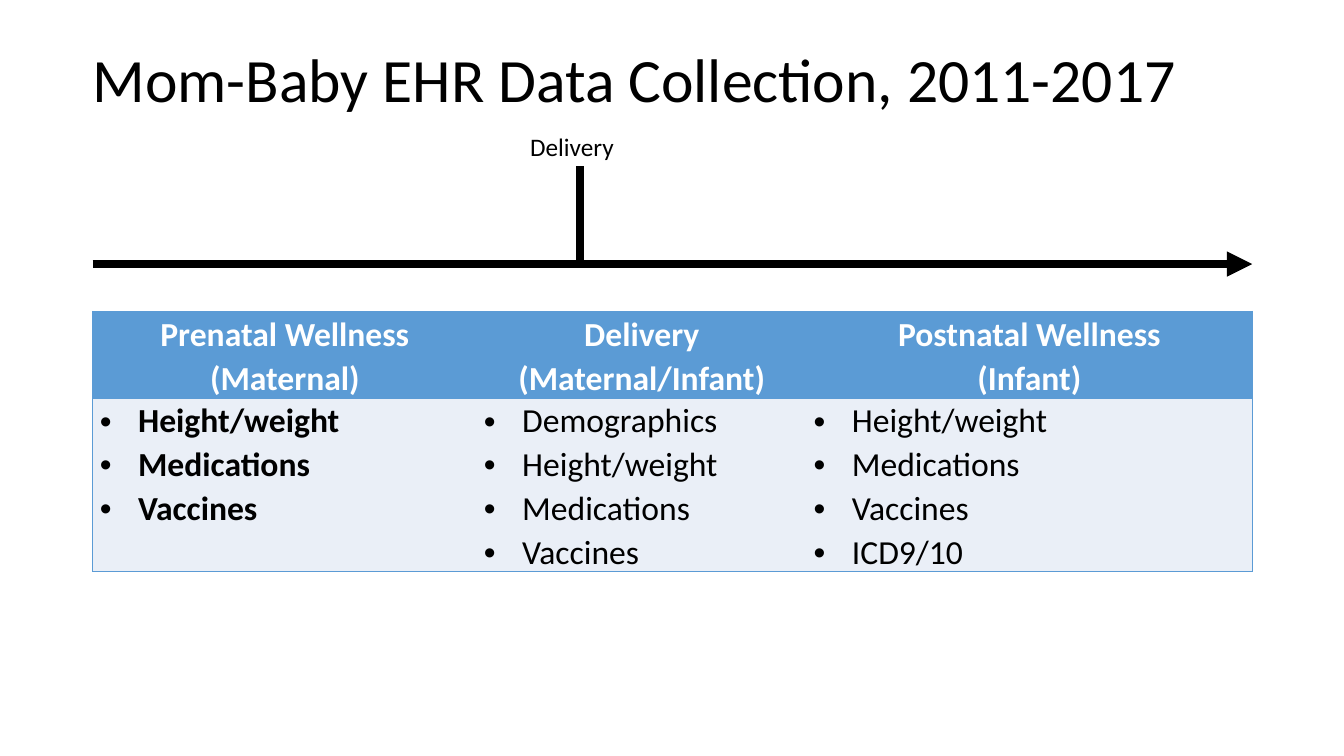
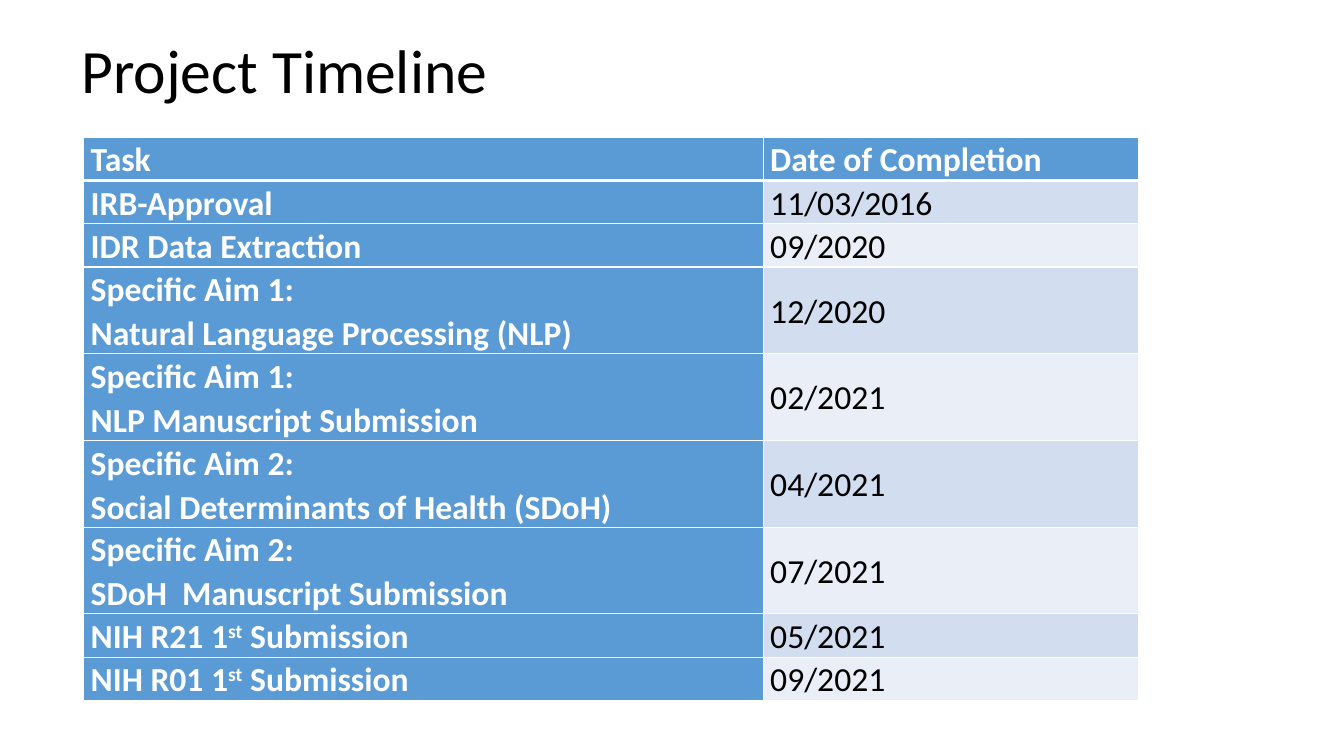
from dataclasses import dataclass

from lxml import etree
from pptx import Presentation
from pptx.dml.color import RGBColor
from pptx.enum.shapes import MSO_CONNECTOR
from pptx.enum.text import MSO_ANCHOR, PP_ALIGN
from pptx.oxml.ns import qn
from pptx.slide import Slide
from pptx.table import _Cell
from pptx.text.text import _Paragraph
from pptx.util import Inches, Pt

STRAIGHT = MSO_CONNECTOR.STRAIGHT
TOP, MIDDLE = MSO_ANCHOR.TOP, MSO_ANCHOR.MIDDLE
LEFT, CENTER, JUSTIFY = PP_ALIGN.LEFT, PP_ALIGN.CENTER, PP_ALIGN.JUSTIFY


@dataclass(frozen=True)
class Theme:
    font: str = "Calibri"
    black: str = "000000"
    white: str = "FFFFFF"
    blue: str = "5B9BD5"
    band: str = "D2DEEF"
    pale: str = "EAEFF7"
    title: int = 44
    body: int = 24
    label: int = 18
    tight: float = 0.9
    loose: float = 1.07
    rule: int = 6
    thin: int = 1
    thick: int = 3
    inset: float = 0.07
    indent: float = 0.38
    row: float = 0.43


THEME = Theme()


@dataclass(frozen=True)
class Box:
    left: float
    top: float
    width: float
    height: float


@dataclass(frozen=True)
class Edge:
    color: str
    width: int


@dataclass(frozen=True)
class Entry:
    lines: tuple[str, ...]
    fill: str
    color: str
    bold: bool
    edges: dict[str, Edge]
    align: PP_ALIGN = LEFT
    anchor: MSO_ANCHOR = TOP
    bullet: bool = False


@dataclass(frozen=True)
class Phase:
    head: tuple[str, ...]
    items: tuple[str, ...]
    width: float
    bold: bool = False


@dataclass(frozen=True)
class Task:
    lines: tuple[str, ...]
    date: str


PHASES = (
    Phase(("Prenatal Wellness", "(Maternal)"),
          ("Height/weight", "Medications", "Vaccines"), 3.81, True),
    Phase(("Delivery", "(Maternal/Infant)"),
          ("Demographics", "Height/weight", "Medications", "Vaccines"), 3.27),
    Phase(("Postnatal Wellness", "(Infant)"),
          ("Height/weight", "Medications", "Vaccines", "ICD9/10"), 4.42),
)

TASKS = (
    Task(("Task",), "Date of Completion"),
    Task(("IRB-Approval",), "11/03/2016"),
    Task(("IDR Data Extraction",), "09/2020"),
    Task(("Specific Aim 1:", "Natural Language Processing (NLP)"), "12/2020"),
    Task(("Specific Aim 1:", "NLP Manuscript Submission"), "02/2021"),
    Task(("Specific Aim 2:", "Social Determinants of Health (SDoH)"), "04/2021"),
    Task(("Specific Aim 2:", "SDoH  Manuscript Submission"), "07/2021"),
    Task(("NIH R21 1^st^ Submission",), "05/2021"),
    Task(("NIH R01 1^st^ Submission",), "09/2021"),
)


def write(para: _Paragraph, text: str, size: int, color: str,
          bold: bool = False) -> None:
    first, *rest = text.split("^")
    para.text = first
    for index, part in enumerate(rest):
        run = para.add_run()
        run.text = part
        if index % 2 == 0:
            run._r.get_or_add_rPr().set("baseline", "30000")
    for run in para.runs:
        run.font.name = THEME.font
        run.font.size = Pt(size)
        run.font.bold = bold
        run.font.color.rgb = RGBColor.from_string(color)


def add_text(slide: Slide, box: Box, text: str, size: int,
             anchor: MSO_ANCHOR = TOP, space: float = 1.0) -> None:
    shape = slide.shapes.add_textbox(Inches(box.left), Inches(box.top),
                                     Inches(box.width), Inches(box.height))
    frame = shape.text_frame
    frame.word_wrap = True
    frame.vertical_anchor = anchor
    para = frame.paragraphs[0]
    para.line_spacing = space
    write(para, text, size, THEME.black)


def add_title(slide: Slide, left: float, top: float, text: str) -> None:
    add_text(slide, Box(left, top, 11.5, 1.45), text, THEME.title, MIDDLE,
             THEME.tight)


def add_line(slide: Slide, start: tuple[float, float], end: tuple[float, float],
             arrow: bool = False) -> None:
    line = slide.shapes.add_connector(
        STRAIGHT, *(Inches(value) for value in start + end))
    line.line.width = Pt(THEME.rule)
    line.line.color.rgb = RGBColor.from_string(THEME.black)
    if arrow:
        tail = etree.SubElement(line.line._get_or_add_ln(), qn("a:tailEnd"))
        tail.set("type", "triangle")
    etree.SubElement(line._element.spPr, qn("a:effectLst"))


def add_edges(cell: _Cell, edges: dict[str, Edge]) -> None:
    props = cell._tc.get_or_add_tcPr()
    for side in "LRTB":
        line = etree.SubElement(props, qn(f"a:ln{side}"))
        edge = edges.get(side)
        if edge is None:
            etree.SubElement(line, qn("a:noFill"))
            continue
        line.set("w", str(Pt(edge.width)))
        fill = etree.SubElement(line, qn("a:solidFill"))
        etree.SubElement(fill, qn("a:srgbClr")).set("val", edge.color)


def add_bullet(para: _Paragraph) -> None:
    props = para._p.get_or_add_pPr()
    props.set("marL", str(Inches(THEME.indent)))
    props.set("indent", str(-Inches(THEME.indent)))
    etree.SubElement(props, qn("a:buFont")).set("typeface", "Arial")
    etree.SubElement(props, qn("a:buChar")).set("char", "•")


def fill_cell(cell: _Cell, entry: Entry) -> None:
    add_edges(cell, entry.edges)
    cell.fill.solid()
    cell.fill.fore_color.rgb = RGBColor.from_string(entry.fill)
    cell.margin_left = cell.margin_right = Inches(THEME.inset)
    cell.margin_top = cell.margin_bottom = 0
    cell.vertical_anchor = entry.anchor
    frame = cell.text_frame
    for index, text in enumerate(entry.lines):
        para = frame.add_paragraph() if index else frame.paragraphs[0]
        para.alignment = entry.align
        para.line_spacing = THEME.loose
        if entry.bullet:
            add_bullet(para)
        write(para, text, THEME.body, entry.color, entry.bold)


def add_grid(slide: Slide, left: float, top: float, widths: list[float],
             rows: list[list[Entry]]) -> None:
    highs = [THEME.row * max(len(entry.lines) for entry in row) for row in rows]
    table = slide.shapes.add_table(
        len(rows), len(widths), Inches(left), Inches(top),
        Inches(sum(widths)), Inches(sum(highs))).table
    table.first_row = table.horz_banding = False
    for column, width in zip(table.columns, widths):
        column.width = Inches(width)
    for line, high, row in zip(table.rows, highs, rows):
        line.height = Inches(high)
        for cell, entry in zip(line.cells, row):
            fill_cell(cell, entry)


def draw_data(slide: Slide) -> None:
    add_title(slide, 0.82, 0.09, "Mom-Baby EHR Data Collection, 2011-2017")
    add_line(slide, (0.92, 2.62), (12.42, 2.62), True)
    add_line(slide, (5.75, 1.65), (5.75, 2.62))
    add_text(slide, Box(5.16, 1.25, 1.41, 0.4), "Delivery", THEME.label)
    edge = Edge(THEME.blue, THEME.thin)
    heads, bodies = [], []
    for index, phase in enumerate(PHASES):
        edges = {"T": edge, "B": edge}
        if index == 0:
            edges["L"] = edge
        if index == len(PHASES) - 1:
            edges["R"] = edge
        heads.append(Entry(phase.head, THEME.blue, THEME.white, True, edges,
                           CENTER))
        bodies.append(Entry(phase.items, THEME.pale, THEME.black, phase.bold,
                            edges, JUSTIFY, bullet=True))
    add_grid(slide, 0.92, 3.09, [phase.width for phase in PHASES],
             [heads, bodies])


def draw_plan(slide: Slide) -> None:
    add_title(slide, 0.71, 0, "Project Timeline")
    thin = Edge(THEME.white, THEME.thin)
    thick = Edge(THEME.white, THEME.thick)
    rows = []
    for index, task in enumerate(TASKS):
        head = index == 0
        edges = {"L": thin, "R": thin, "T": thick if index == 1 else thin,
                 "B": thick if head else thin}
        shade = THEME.band if index % 2 else THEME.pale
        rows.append([
            Entry(task.lines, THEME.blue, THEME.white, True, edges),
            Entry((task.date,), THEME.blue if head else shade,
                  THEME.white if head else THEME.black, head, edges,
                  anchor=MIDDLE),
        ])
    add_grid(slide, 0.83, 1.36, [6.74, 3.72], rows)


def main() -> None:
    deck = Presentation()
    deck.slide_width = Inches(13.33)
    deck.slide_height = Inches(7.5)
    for draw in (draw_data, draw_plan):
        draw(deck.slides.add_slide(deck.slide_layouts[6]))
    deck.save("out.pptx")


main()
